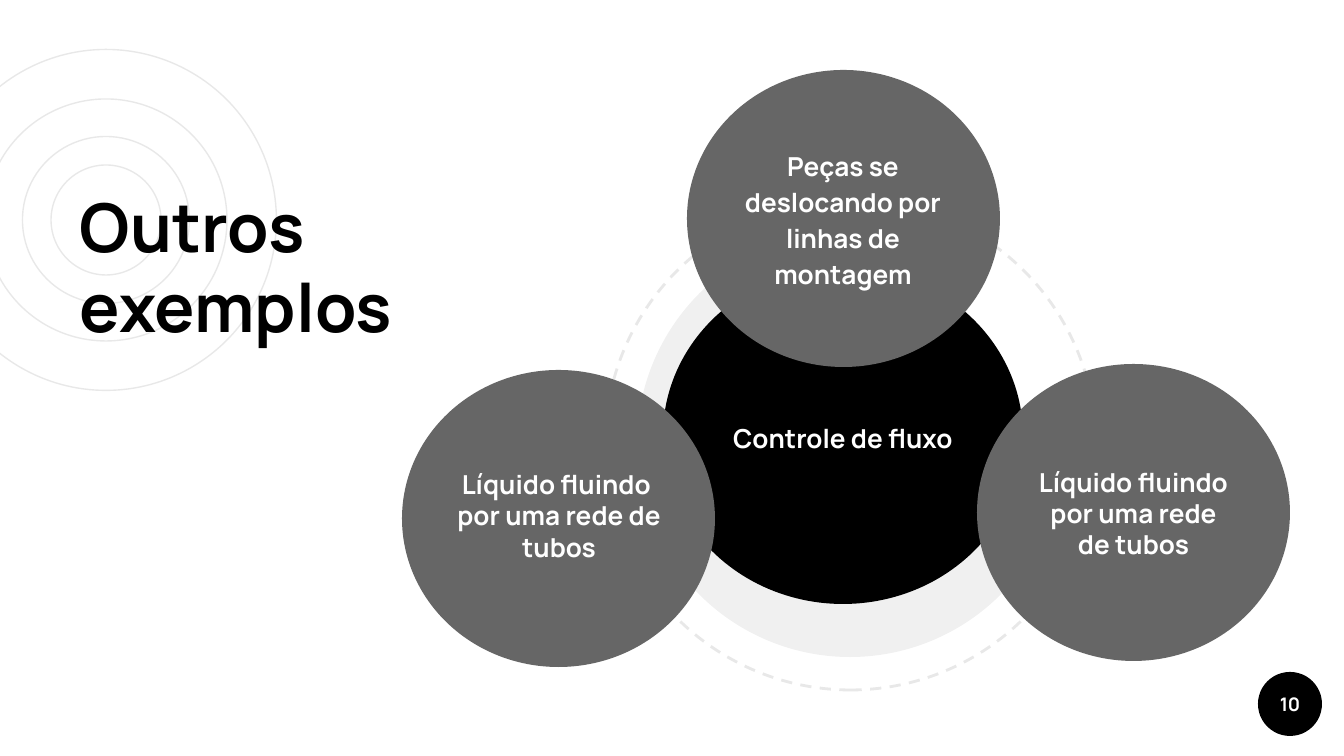
from lxml.etree import SubElement
from pptx import Presentation
from pptx.dml.color import RGBColor
from pptx.enum.dml import MSO_LINE
from pptx.enum.shapes import MSO_SHAPE as SHAPE
from pptx.enum.text import MSO_ANCHOR as ANCHOR, PP_ALIGN as ALIGN
from pptx.oxml.ns import qn
from pptx.util import Pt

PX = 914400 / 134.4
COLORS = {"black": "000000", "gray": "666666", "ring": "E8E8E8", "white": "FFFFFF"}

prs = Presentation()
prs.slide_width, prs.slide_height = round(1344 * PX), round(756 * PX)
slide = prs.slides.add_slide(prs.slide_layouts[6])


def rgb(name):
    return RGBColor.from_string(COLORS[name])


def add_disc(x, y, w, h, fill=None, line_width=0, kind=SHAPE.OVAL):
    disc = slide.shapes.add_shape(kind, *(round(v * PX) for v in (x, y, w, h)))
    disc.shadow.inherit = False
    if fill:
        disc.fill.solid()
        disc.fill.fore_color.rgb = rgb(fill)
    else:
        disc.fill.background()
    if line_width:
        disc.line.color.rgb = rgb("ring")
        disc.line.width = Pt(line_width)
    else:
        disc.line.fill.background()
    return disc


def add_text(text, x, y, w, h, size=14, color="white", align=ALIGN.CENTER,
             anchor=ANCHOR.MIDDLE, spacing=None):
    box = slide.shapes.add_textbox(*(round(v * PX) for v in (x, y, w, h)))
    frame = box.text_frame
    frame.word_wrap = True
    frame.vertical_anchor = anchor
    frame.margin_left = frame.margin_right = round(13 * PX)
    frame.margin_top = frame.margin_bottom = round(13 * PX)
    frame.text = text
    for paragraph in frame.paragraphs:
        paragraph.alignment = align
        paragraph.line_spacing = spacing
        font = paragraph.runs[0].font
        font.name, font.size, font.bold = "Manrope", Pt(size), True
        font.color.rgb = rgb(color)


for diameter in (341, 242, 167, 110):
    add_disc(106 - diameter / 2, 220 - diameter / 2, diameter, diameter, line_width=0.75)

add_text("Outros exemplos", 67, 172, 441, 204, size=36, color="black",
         align=ALIGN.LEFT, anchor=ANCHOR.TOP)

page_badge = (1258, 672, 64, 64)
add_disc(*page_badge, fill="black")
add_text("10", *page_badge, size=10)

orbit = add_disc(605, 199, 491, 491, line_width=1.5)
orbit.line.dash_style = MSO_LINE.DASH
orbit.rotation = 270

halo = add_disc(637, 231, 426, 426, fill="black", kind=SHAPE.PIE)
halo.adjustments[0], halo.adjustments[1] = 18.12, 162.15
halo_color = halo._element.spPr.find(qn("a:solidFill")).find(qn("a:srgbClr"))
SubElement(halo_color, qn("a:alpha"), val="6000")

add_disc(663, 267, 360, 337, fill="black")
add_text("Controle de fluxo", 710, 359, 266, 153, spacing=1.15)

examples = [
    ("Peças se deslocando por linhas de montagem", (687, 70), (730, 122, 226, 192), 1.15),
    ("Líquido fluindo por uma rede de tubos", (977, 364), (1023, 408, 221, 210), None),
    ("Líquido fluindo \npor uma rede de tubos", (402, 370), (417, 454, 284, 123), None),
]
for example, corner, text_area, spacing in examples:
    add_disc(*corner, 313, 297, fill="gray")
    add_text(example, *text_area, spacing=spacing)

prs.save("out.pptx")
